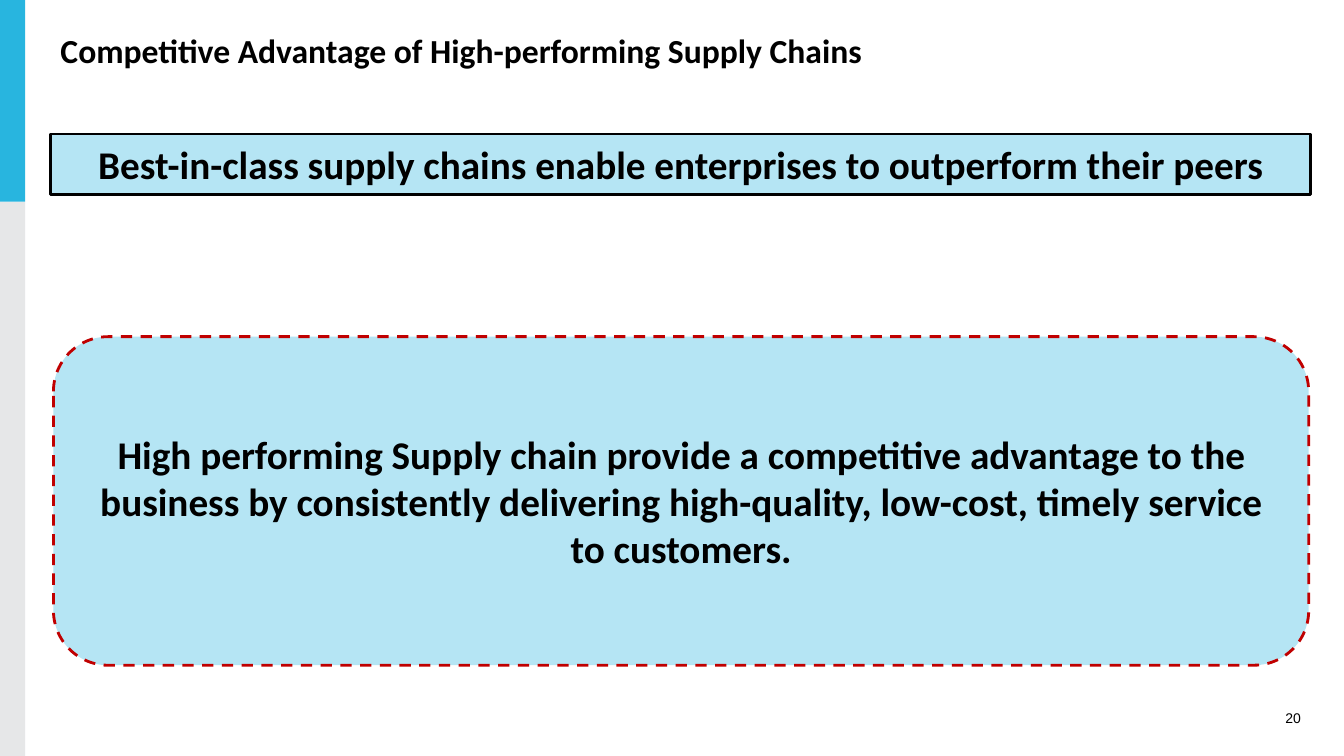
from pptx import Presentation
from pptx import util as u
from pptx.dml.color import RGBColor
from pptx.enum import dml, shapes, text
from pptx.oxml.ns import qn
from lxml import etree

BLACK, CYAN, GREY, RED = "000000", "28B5DF", "E6E7E8", "C00000"


def paint(color_format, color):
    color_format.rgb = RGBColor.from_string(color)


def write(box, wording, size, align, anchor, font="Calibri", bold=True):
    frame = box.text_frame
    frame.word_wrap = True
    frame.auto_size = text.MSO_AUTO_SIZE.NONE
    frame.vertical_anchor = anchor
    paragraph = frame.paragraphs[0]
    paragraph.alignment = align
    paragraph.space_before = u.Pt(0)
    run = paragraph.add_run()
    run.text = wording
    run.font.size, run.font.name, run.font.bold = u.Pt(size), font, bold
    paint(run.font.color, BLACK)


prs = Presentation()
prs.slide_width, prs.slide_height = u.Inches(13.33), u.Inches(7.5)
slide = prs.slides.add_slide(prs.slide_layouts[1])
align, anchor = text.PP_ALIGN, text.MSO_ANCHOR

# Two-tone band along the left edge
for top, height, color in [(2, 5.5, GREY), (0, 2, CYAN)]:
    band = slide.shapes.add_shape(
        shapes.MSO_SHAPE.RECTANGLE, 0, u.Inches(top), u.Inches(0.25), u.Inches(height))
    band.shadow.inherit = False
    band.fill.solid()
    paint(band.fill.fore_color, color)
    band.line.fill.background()

title = slide.shapes.title
title.left, title.top = u.Inches(0.5), u.Inches(0.25)
title.width, title.height = u.Inches(12.5), u.Inches(0.82)
write(title, "Competitive Advantage of High-performing Supply Chains",
      24, align.LEFT, anchor.TOP)

headline = slide.placeholders[1]
headline.left, headline.top = u.Inches(0.5), u.Inches(1.33)
headline.width, headline.height = u.Inches(12.5), u.Inches(0.6)
headline_format = headline.text_frame.paragraphs[0]._p.get_or_add_pPr()
headline_format.set("marL", "0")
headline_format.set("indent", "0")
etree.SubElement(headline_format, qn("a:buNone"))
write(headline, "Best-in-class supply chains enable enterprises to outperform their peers",
      28, align.CENTER, anchor.MIDDLE)

page_number = slide.shapes.add_textbox(
    u.Inches(12.33), u.Inches(7), u.Inches(0.67), u.Inches(0.25))
write(page_number, "20", 10, align.RIGHT, anchor.MIDDLE, "Arial", False)

takeaway = slide.shapes.add_shape(
    shapes.MSO_SHAPE.ROUNDED_RECTANGLE,
    u.Inches(0.53), u.Inches(3.34), u.Inches(12.45), u.Inches(3.26))
takeaway.shadow.inherit = False
write(takeaway,
      "High performing Supply chain provide a competitive advantage to the business "
      "by consistently delivering high-quality, low-cost, timely service to customers.",
      28, align.CENTER, anchor.MIDDLE)

# Translucent fill and outline shared by the two message boxes
for message, outline in [(headline, BLACK), (takeaway, RED)]:
    message.fill.solid()
    paint(message.fill.fore_color, CYAN)
    tint = message._element.spPr.find(qn("a:solidFill")).find(qn("a:srgbClr"))
    etree.SubElement(tint, qn("a:alpha")).set("val", "34000")
    paint(message.line.color, outline)
    message.line.width = u.Pt(2)
takeaway.line.dash_style = dml.MSO_LINE.DASH

prs.save("out.pptx")
